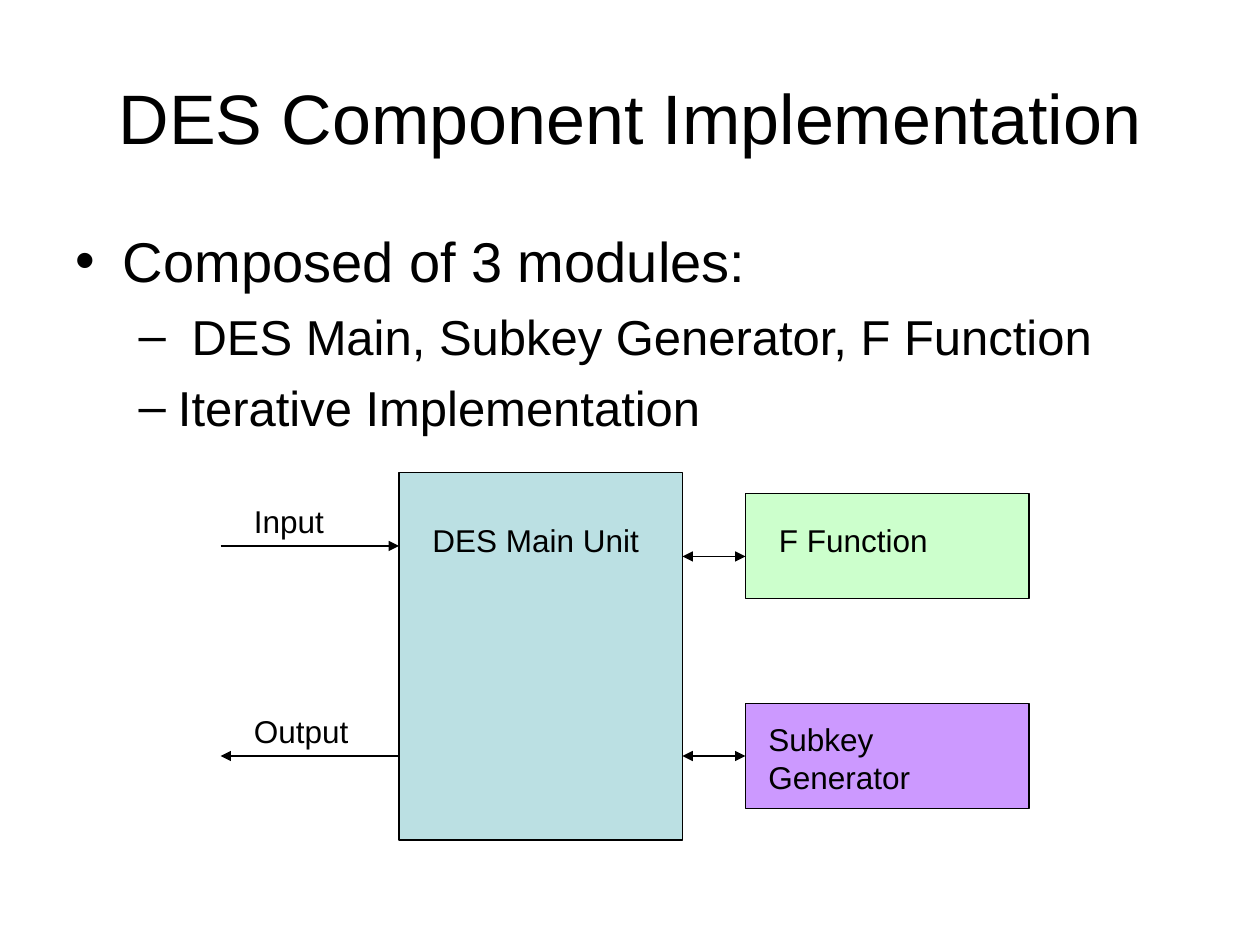
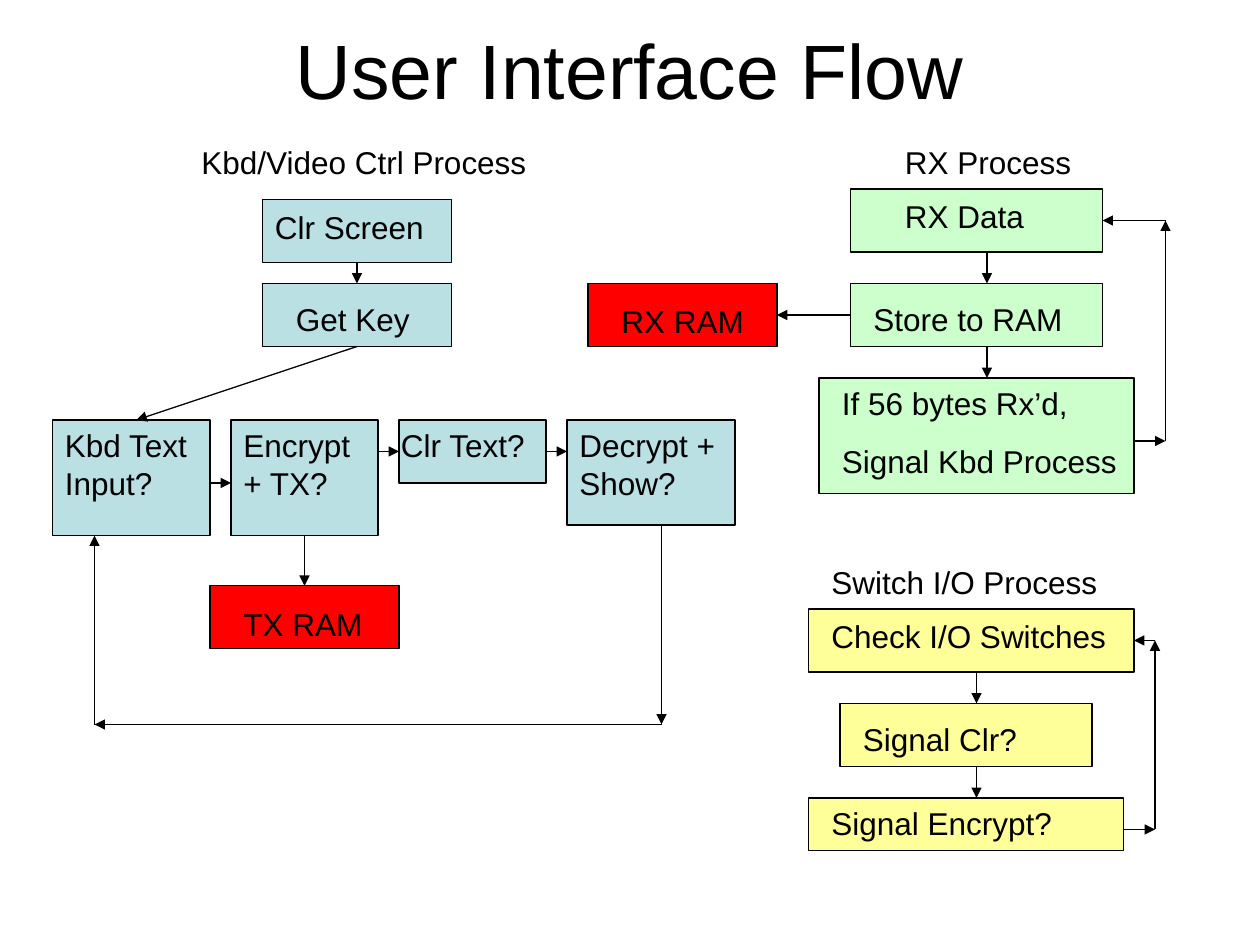
from itertools import pairwise
from lxml import etree
from pptx import Presentation
from pptx.dml.color import RGBColor
from pptx.enum.shapes import MSO_CONNECTOR as Link, MSO_SHAPE as Shape
from pptx.enum.text import MSO_ANCHOR as Anchor, MSO_AUTO_SIZE as Fit, PP_ALIGN as Align
from pptx.oxml.ns import qn
from pptx.util import Cm, Pt

BLACK = RGBColor(0x00, 0x00, 0x00)
BLUE = RGBColor(0xBB, 0xE0, 0xE3)
GREEN = RGBColor(0xCC, 0xFF, 0xCC)
PURPLE = RGBColor(0xCC, 0x99, 0xFF)
RED = RGBColor(0xFF, 0x00, 0x00)
YELLOW = RGBColor(0xFF, 0xFF, 0x99)

GRID = 2.54 / 12
NEAR = 0.3
ONE, TWO, PAIR = 4.8, 8.4, 10.3

SLIDES = [
    {
        "layout": 1,
        "title": ("DES Component Implementation", 40, 3.6),
        "list": [
            ("Composed of 3 modules:", 0, 32, 0),
            (" DES Main, Subkey Generator, F Function", 1, 28, 7),
            ("Iterative Implementation", 1, 28, 7),
        ],
        "boxes": [
            (BLUE, (38, 45, 27, 35), "DES Main Unit", (40, 49, 23, ONE)),
            (GREEN, (71, 47, 27, 10), "F Function", (73, 49, 23, ONE)),
            (PURPLE, (71, 67, 27, 10), "Subkey Generator", (72, 68, 23, TWO)),
        ],
        "notes": [
            ("Input", (23, 47.2, 11, ONE)),
            ("Output", (23, 67.2, 12, ONE)),
        ],
        "both": [
            [(65, 72), (71, 72)],
            [(65, 53), (71, 53)],
        ],
        "flows": [
            [(21, 52), (38, 52)],
            [(38, 72), (21, 72)],
        ],
    },
    {
        "layout": 5,
        "title": ("User Interface Flow", 44, -1),
        "list": [],
        "boxes": [
            (BLUE, (25, 19, 18, 6), "Clr Screen", (25, 19.2, 19, ONE)),
            (BLUE, (25, 27, 18, 6), "Get Key", (27, 28, 15, ONE)),
            (BLUE, (5, 40, 15, 11), "Kbd Text Input?", (5, 40, 15, TWO)),
            (BLUE, (22, 40, 14, 11), "Encrypt + TX?", (22, 40, 15, TWO)),
            (BLUE, (38, 40, 14, 6), "Clr Text?", (37, 40, 15, ONE)),
            (BLUE, (54, 40, 16, 10), "Decrypt + Show?", (54, 40, 20, TWO)),
            (RED, (20, 55.8, 18, 6), "TX RAM", (22, 57, 16, ONE)),
            (RED, (56, 27, 18, 6), "RX RAM", (58, 28.2, 16, ONE)),
            (GREEN, (81, 18, 24, 6), "RX Data", (85, 18.2, 15.6, ONE)),
            (GREEN, (81, 27, 24, 6), "Store to RAM", (82, 28, 22, ONE)),
            (GREEN, (78, 36, 30, 11), "If 56 bytes Rx’d,\nSignal Kbd Process",
             (79, 36, 30, PAIR)),
            (YELLOW, (77, 58, 31, 6), "Check I/O Switches", (78, 58.2, 30, ONE)),
            (YELLOW, (80, 67, 24, 6), "Signal Clr?", (81, 68, 22, ONE)),
            (YELLOW, (77, 76, 30, 5), "Signal Encrypt?", (78, 76, 30, ONE)),
        ],
        "notes": [
            ("Kbd/Video Ctrl Process", (18, 13, 35, ONE)),
            ("RX Process", (85, 13, 24, ONE)),
            ("Switch I/O Process", (78, 53, 30, ONE)),
        ],
        "both": [],
        "flows": [
            [(34, 25), (34, 27)],
            [(34, 33), (13, 40)],
            [(20, 46), (22, 46)],
            [(36, 43), (38, 43)],
            [(52, 43), (54, 43)],
            [(29, 51), (29, 56)],
            [(63, 50), (63, 69), (9, 69), (9, 51)],
            [(94, 24), (94, 27)],
            [(94, 33), (94, 36)],
            [(81, 30), (74, 30)],
            [(108, 42), (111, 42), (111, 21), (105, 21)],
            [(93, 64), (93, 67)],
            [(93, 73), (93, 76)],
            [(107, 79), (110, 79), (110, 61), (108, 61)],
        ],
    },
]


def scale(spot):
    return [Cm(n * GRID) for n in spot]


def assign(item, **form):
    for name, value in form.items():
        setattr(item, name, value)


def place(item, spot):
    assign(item, **dict(zip(("left", "top", "width", "height"), scale(spot))))


def style(par, size, gap=0, **form):
    assign(par, space_before=Pt(gap), **form)
    for run in par.runs:
        assign(run.font, name="Arial", size=Pt(size))
        run.font.color.rgb = BLACK


def add_title(slide, text, size, top):
    title = slide.shapes.title
    place(title, (6, top, 108, 15))
    title.text = text
    assign(title.text_frame, auto_size=Fit.NONE, vertical_anchor=Anchor.MIDDLE)
    style(title.text_frame.paragraphs[0], size, alignment=Align.CENTER)


def add_list(slide, rows):
    body = slide.placeholders[1]
    place(body, (6, 21, 108, 59.4))
    frame = body.text_frame
    frame.auto_size = Fit.NONE
    frame.text = "\n".join(row[0] for row in rows)
    for par, (_, level, size, gap) in zip(frame.paragraphs, rows):
        style(par, size, gap, level=level)


def add_label(slide, text, spot):
    frame = slide.shapes.add_textbox(*scale(spot)).text_frame
    assign(frame, text=text, word_wrap=True, auto_size=Fit.SHAPE_TO_FIT_TEXT)
    for i, par in enumerate(frame.paragraphs):
        style(par, 18, 11.2 if i else 0)


def add_box(slide, fill, spot):
    box = slide.shapes.add_shape(Shape.RECTANGLE, *scale(spot))
    box.shadow.inherit = False
    box.fill.solid()
    box.fill.fore_color.rgb = fill
    box.line.color.rgb = BLACK
    box.line.width = Pt(0.75)
    return box


def find_sides(box, spot):
    x, y, w, h = spot
    mids = [(x + w / 2, y), (x, y + h / 2), (x + w / 2, y + h), (x + w, y + h / 2)]
    return [(box, side, mid) for side, mid in enumerate(mids)]


def add_arrow(slide, start, end, sides, ends):
    arrow = slide.shapes.add_connector(Link.STRAIGHT, *scale(start + end))
    arrow.line.color.rgb = BLACK
    arrow.line.width = Pt(0.75)
    props = arrow._element.spPr
    for tag in ends:
        etree.SubElement(props.find(qn("a:ln")), qn(tag), type="triangle")
    etree.SubElement(props, qn("a:effectLst"))
    for point, join in ((start, arrow.begin_connect), (end, arrow.end_connect)):
        for box, side, mid in sides:
            if max(abs(a - b) for a, b in zip(point, mid)) < NEAR:
                join(box, side)


def add_slide(deck, data):
    slide = deck.slides.add_slide(deck.slide_layouts[data["layout"]])
    add_title(slide, *data["title"])
    if data["list"]:
        add_list(slide, data["list"])
    sides = []
    for fill, spot, text, inner in data["boxes"]:
        sides += find_sides(add_box(slide, fill, spot), spot)
        add_label(slide, text, inner)
    for text, spot in data["notes"]:
        add_label(slide, text, spot)
    for key, ends in (("both", ("a:headEnd", "a:tailEnd")), ("flows", ("a:tailEnd",))):
        for chain in data[key]:
            for start, end in pairwise(chain):
                add_arrow(slide, start, end, sides, ends)


def main():
    deck = Presentation()
    assign(deck, slide_width=Cm(25.4), slide_height=Cm(19.05))
    for data in SLIDES:
        add_slide(deck, data)
    deck.save("out.pptx")


if __name__ == "__main__":
    main()
